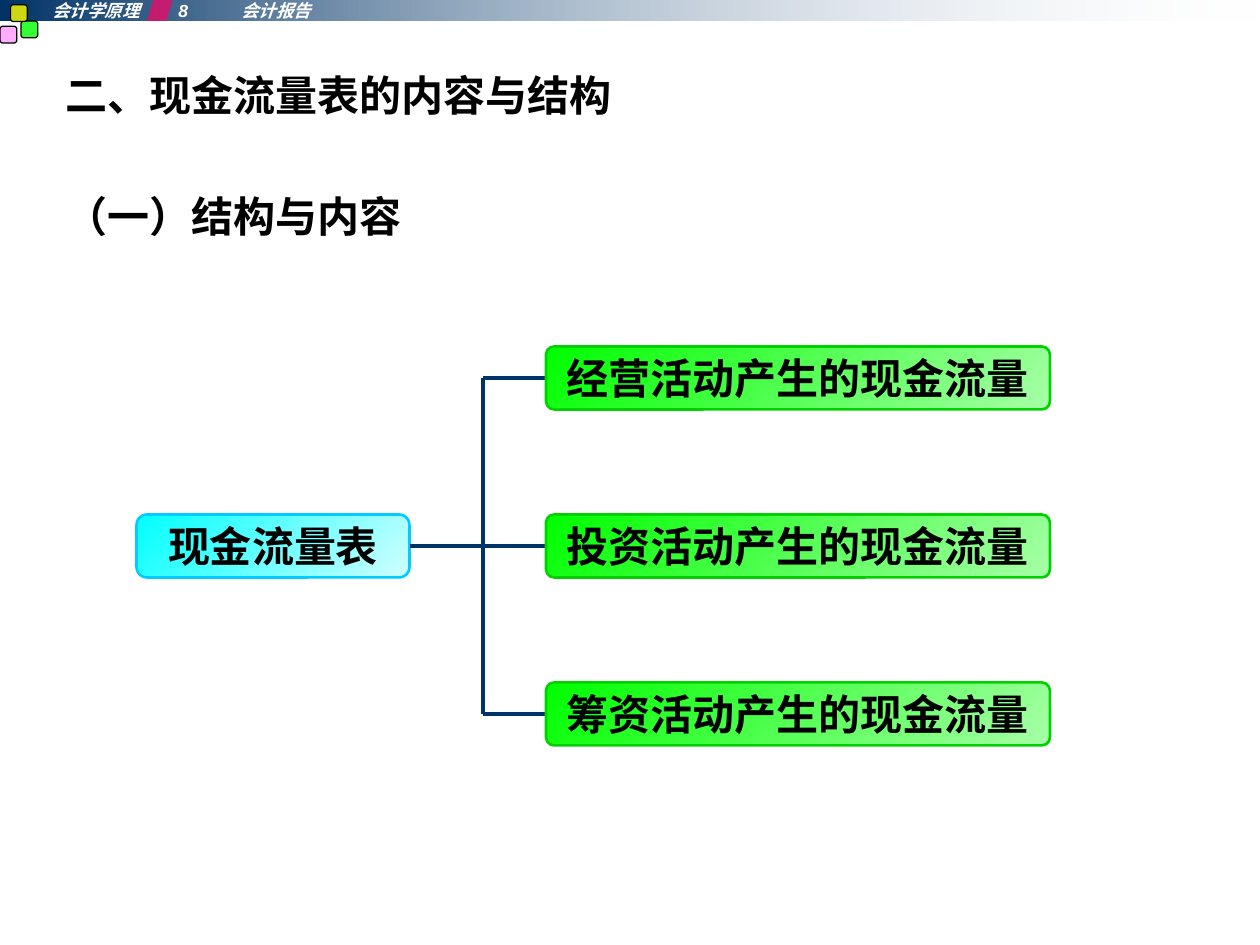
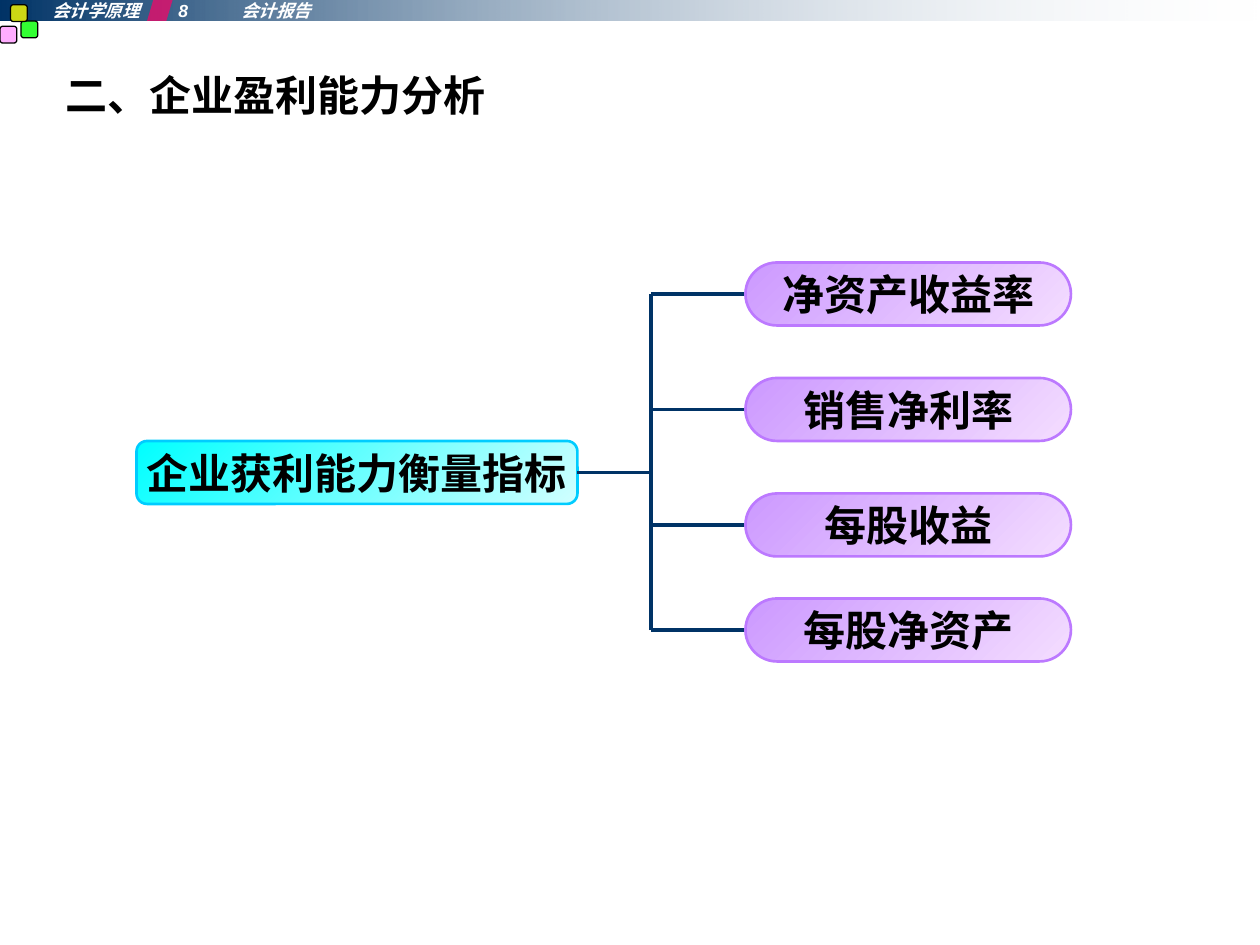
import pptx
import pptx.dml.color
import pptx.enum.shapes
import pptx.enum.text
import pptx.oxml
import pptx.oxml.ns
import pptx.util
from lxml import etree

RGBColor = pptx.dml.color.RGBColor
Shape = pptx.enum.shapes.MSO_SHAPE
Align = pptx.enum.text.PP_ALIGN
Anchor = pptx.enum.text.MSO_ANCHOR
qn = pptx.oxml.ns.qn

NAVY = RGBColor(0x00, 0x33, 0x66)
MIST = RGBColor(0xE7, 0xEC, 0xF1)
BLACK = RGBColor(0x00, 0x00, 0x00)
WHITE = RGBColor(0xFF, 0xFF, 0xFF)
PINK = RGBColor(0xFF, 0x99, 0xFF)
GREEN = RGBColor(0x00, 0xFF, 0x00)
YELLOW = RGBColor(0xFF, 0xFF, 0x00)
MAGENTA = RGBColor(0xFF, 0x00, 0x66)
CYAN = RGBColor(0x00, 0xFF, 0xFF)
PALE_CYAN = RGBColor(0xD1, 0xFF, 0xFF)
CYAN_EDGE = RGBColor(0x00, 0xCC, 0xFF)
PALE_GREEN = RGBColor(0xA7, 0xFF, 0xA7)
GREEN_EDGE = RGBColor(0x00, 0xD2, 0x00)
LILAC = RGBColor(0xCC, 0x99, 0xFF)
PALE_LILAC = RGBColor(0xF4, 0xDD, 0xFF)
LILAC_EDGE = RGBColor(0xBC, 0x79, 0xFF)

# Lengths are in grid cells; the slide has 120 columns and 90 rows.
CELL = pptx.util.Inches(1) / 12
COLUMNS, ROWS = 120, 90
NODE_HEIGHT = 6
ROOT_LEFT = 13
ROOT_STYLE = dict(fills=(CYAN, PALE_CYAN), edge=CYAN_EDGE, corner=0.167)

HEADER = "会计学原理\t8\t会计报告"
HEADER_TABS = (9.7, 13)
BLOCK_SIZE = 1.6
BLOCKS = [(0, 2.5, PINK), (2, 2, GREEN), (1, 0.45, YELLOW)]

SLIDES = [
    dict(
        title="二、现金流量表的内容与结构",
        subtitle="（一）结构与内容",
        root=("现金流量表", 49, 26),
        spine=46,
        branch_left=52,
        branch_width=48,
        branches=[
            ("经营活动产生的现金流量", 33),
            ("投资活动产生的现金流量", 49),
            ("筹资活动产生的现金流量", 65),
        ],
        style=dict(fills=(GREEN, PALE_GREEN), edge=GREEN_EDGE, corner=0.13),
    ),
    dict(
        title="二、企业盈利能力分析",
        subtitle=None,
        root=("企业获利能力衡量指标", 42, 42),
        spine=62,
        branch_left=71,
        branch_width=31,
        branches=[
            ("净资产收益率", 25),
            ("销售净利率", 36),
            ("每股收益", 47),
            ("每股净资产", 57),
        ],
        style=dict(fills=(LILAC, PALE_LILAC), edge=LILAC_EDGE, corner=0.5),
    ),
]


def cells(*counts):
    return [round(count * CELL) for count in counts]


def write_text(frame, text, size=24, color=BLACK, italic=False, align=Align.LEFT,
               anchor=Anchor.TOP, wrap=True, margins=(1.2, 0.6), tabs=()):
    frame.auto_size = pptx.enum.text.MSO_AUTO_SIZE.NONE
    frame.word_wrap = wrap
    frame.vertical_anchor = anchor
    side, end = cells(*margins)
    frame.margin_left = frame.margin_right = side
    frame.margin_top = frame.margin_bottom = end
    frame.text = text
    paragraph = frame.paragraphs[0]
    paragraph.alignment = align
    paragraph.space_before = pptx.util.Pt(0)
    properties = paragraph._p.get_or_add_pPr()
    properties.set("marL", "0")
    properties.set("indent", "0")
    etree.SubElement(properties, qn("a:buNone"))
    if tabs:
        stops = etree.SubElement(properties, qn("a:tabLst"))
        for position in cells(*tabs):
            etree.SubElement(stops, qn("a:tab"), pos=str(position), algn="l")
    font = paragraph.font
    font.name, font.size = "Arial", pptx.util.Pt(size)
    font.bold, font.italic = True, italic
    font.color.rgb = color


def add_figure(slide, kind, place, fills, angle=45, opacity=100, edge=None,
               edge_width=1.5, corner=None):
    """Add a preset shape; two fills make a gradient, opacity acts on the last."""
    figure = slide.shapes.add_shape(kind, *cells(*place))
    figure.shadow.inherit = False
    if corner is not None:
        figure.adjustments[0] = corner
    if len(fills) == 1:
        figure.fill.solid()
        figure.fill.fore_color.rgb = fills[0]
    else:
        figure.fill.gradient()
        figure.fill.gradient_angle = (360 - angle) % 360
        for position, (stop, color) in enumerate(zip(figure.fill.gradient_stops, fills)):
            stop.position = position
            stop.color.rgb = color
    if opacity < 100:
        last_color = list(figure.element.spPr.iter(qn("a:srgbClr")))[-1]
        etree.SubElement(last_color, qn("a:alpha"), val=str(opacity * 1000))
    if edge is None:
        figure.line.fill.background()
    else:
        figure.line.color.rgb = edge
        figure.line.width = pptx.util.Pt(edge_width)
    return figure


def add_node(slide, text, left, top, width, style):
    node = add_figure(slide, Shape.ROUNDED_RECTANGLE,
                      (left, top, width, NODE_HEIGHT), **style)
    write_text(node.text_frame, text, align=Align.CENTER, anchor=Anchor.MIDDLE, wrap=False)


def add_link(slide, *ends):
    link = slide.shapes.add_connector(pptx.enum.shapes.MSO_CONNECTOR.STRAIGHT, *cells(*ends))
    link.line.color.rgb = NAVY
    link.line.width = pptx.util.Pt(2.25)
    etree.SubElement(link.element.spPr, qn("a:effectLst"))


def fill_placeholder(placeholder, text, top, height):
    placeholder.left, placeholder.top, placeholder.width, placeholder.height = cells(
        5, top, 110, height)
    write_text(placeholder.text_frame, text)


def add_header(slide):
    add_figure(slide, Shape.RECTANGLE, (0, 0, COLUMNS, 2), (NAVY, MIST), angle=0, opacity=0)
    for left, top, color in BLOCKS:
        add_figure(slide, Shape.ROUNDED_RECTANGLE, (left, top, BLOCK_SIZE, BLOCK_SIZE),
                   (color,), opacity=80, edge=BLACK, edge_width=0.75, corner=0.167)
    add_figure(slide, Shape.PARALLELOGRAM, (14, -0.2, 2.5, 2.2), (MAGENTA,),
               opacity=70, corner=0.3)
    course = slide.shapes.add_textbox(*cells(5, 0, 35, 2))
    write_text(course.text_frame, HEADER, size=10, color=WHITE, italic=True,
               margins=(0, 0), tabs=HEADER_TABS)


def add_tree(slide, content):
    """Draw the root, the spine and the branches."""
    half = NODE_HEIGHT / 2
    spine, branch_left = content["spine"], content["branch_left"]
    root_text, root_top, root_width = content["root"]
    middles = [top + half for _, top in content["branches"]]
    add_node(slide, root_text, ROOT_LEFT, root_top, root_width, ROOT_STYLE)
    add_link(slide, ROOT_LEFT + root_width, root_top + half, spine, root_top + half)
    add_link(slide, spine, middles[-1], spine, middles[0])
    for middle in middles:
        add_link(slide, spine, middle, branch_left, middle)
    for text, top in content["branches"]:
        add_node(slide, text, branch_left, top, content["branch_width"], content["style"])


def main():
    deck = pptx.Presentation()
    deck.slide_width, deck.slide_height = cells(COLUMNS, ROWS)
    title_and_body, title_only = deck.slide_layouts[1], deck.slide_layouts[5]
    for content in SLIDES:
        subtitle = content["subtitle"]
        slide = deck.slides.add_slide(title_and_body if subtitle else title_only)
        add_header(slide)
        fill_placeholder(slide.shapes.title, content["title"], top=6, height=8)
        if subtitle:
            fill_placeholder(slide.placeholders[1], subtitle, top=17.5, height=8)
        add_tree(slide, content)
    deck.save("out.pptx")


if __name__ == "__main__":
    main()
